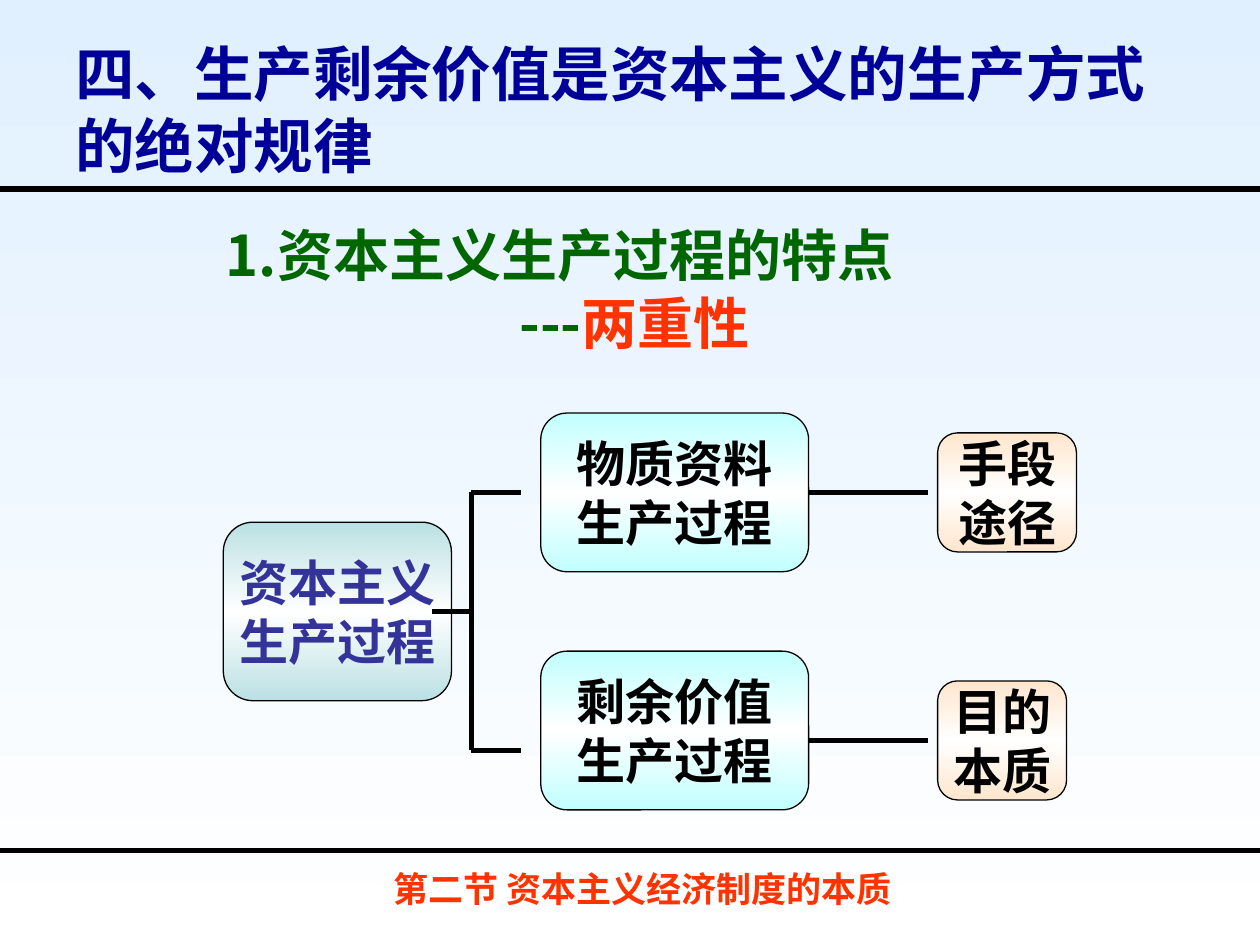
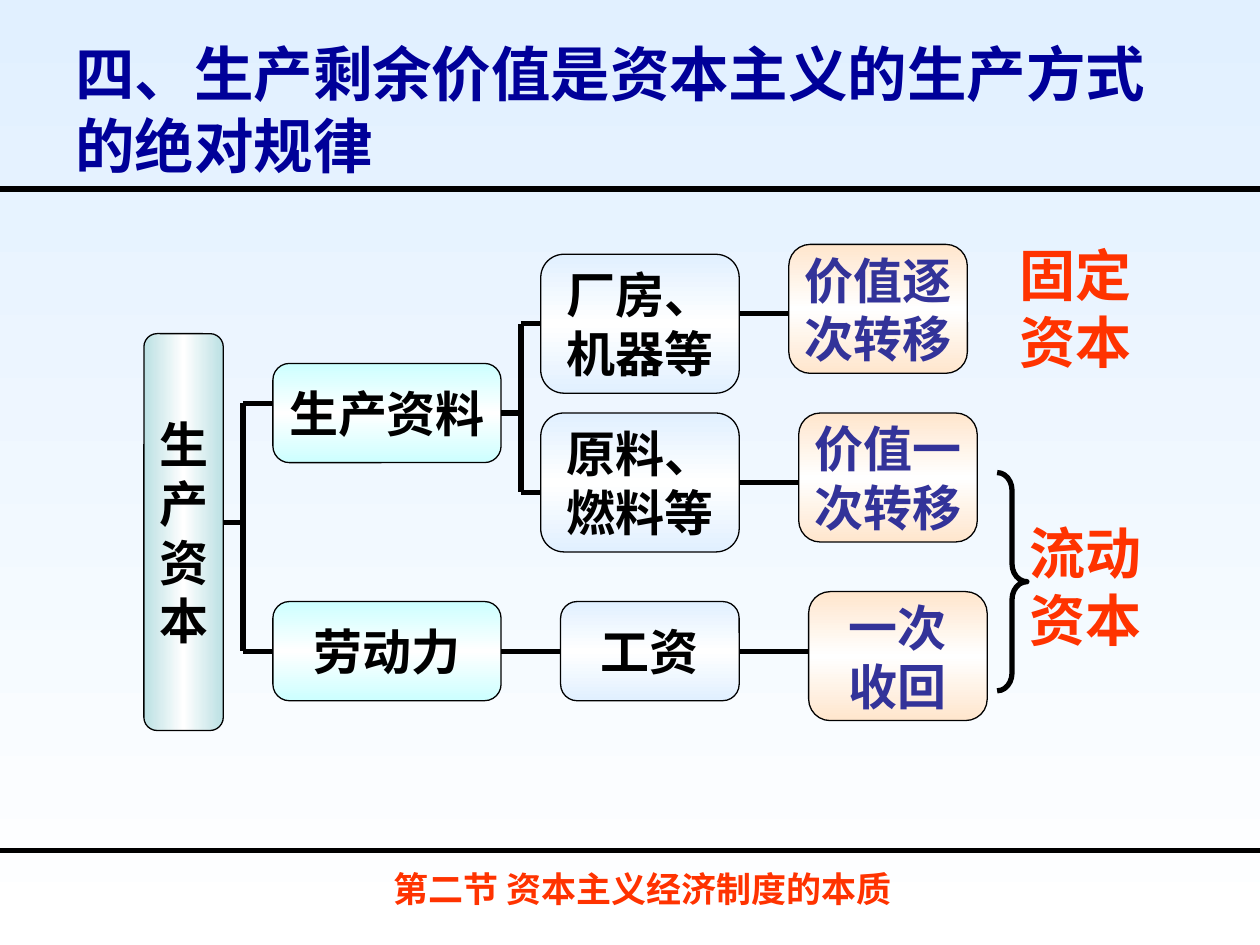
from copy import deepcopy

from lxml import etree
from pptx import Presentation
from pptx.dml.color import RGBColor
from pptx.enum.shapes import MSO_CONNECTOR, MSO_SHAPE
from pptx.enum.text import MSO_ANCHOR, PP_ALIGN
from pptx.oxml.ns import qn
from pptx.util import Inches, Pt

ROUND, BRACE = MSO_SHAPE.ROUNDED_RECTANGLE, MSO_SHAPE.RIGHT_BRACE
STRAIGHT = MSO_CONNECTOR.STRAIGHT
LEFT, CENTER = PP_ALIGN.LEFT, PP_ALIGN.CENTER
TOP, MIDDLE = MSO_ANCHOR.TOP, MSO_ANCHOR.MIDDLE

BLACK = RGBColor(0, 0, 0)
WHITE = RGBColor(255, 255, 255)
NAVY = RGBColor(0, 0, 0x99)
INDIGO = RGBColor(0x33, 0x33, 0x99)
GREEN = RGBColor(0, 0x66, 0)
RED = RGBColor(0xFF, 0x33, 0)
SKY = RGBColor(0xE1, 0xF0, 0xFF)
TEAL = RGBColor(0xBB, 0xE0, 0xE3)
AQUA = RGBColor(0xC1, 0xFF, 0xFF)
CYAN = RGBColor(0xCC, 0xFF, 0xFF)
PEACH = RGBColor(0xFF, 0xE6, 0xCD)

HAN, LATIN = "Noto Sans CJK SC", "Arial"
WIDE, HIGH = Inches(10), Inches(7.5)
CELL = Inches(1) / 12.7  # diagram grid of 2 mm cells
EDGE, HEAD = Inches(0.04), Inches(0.05)  # grid origin

TITLE = "四、生产剩余价值是资本主义的生产方式\v的绝对规律"
FOOT = "第二节 资本主义经济制度的本质"


def spot(col, row):
    return round(EDGE + col * CELL), round(HEAD + row * CELL)


def area(col, row, cols, rows):
    return *spot(col, row), round(cols * CELL), round(rows * CELL)


def share(x, y, w, h):
    return round(x * WIDE), round(y * HIGH), round(w * WIDE), round(h * HIGH)


def write(shape, text, size, color, face=HAN, align=LEFT, anchor=MIDDLE, wrap=True):
    frame = shape.text_frame
    frame.word_wrap = wrap
    frame.vertical_anchor = anchor
    frame.text = text
    for para in frame.paragraphs:
        para.alignment = align
        para.line_spacing = Pt(round(size * 1.2, 1))
        font = para.font
        font.name, font.size, font.bold = face, Pt(size), True
        font.color.rgb = color
        props = para._p.pPr.find(qn("a:defRPr"))
        etree.SubElement(props, qn("a:ea")).set("typeface", HAN)
    return frame


def label(slide, box, text, size, color, **style):
    return write(slide.shapes.add_textbox(*box), text, size, color, **style)


def rule(slide, start, end):
    line = slide.shapes.add_connector(STRAIGHT, *start, *end)
    line.line.color.rgb = BLACK
    line.line.width = Pt(3)
    etree.SubElement(line._element.spPr, qn("a:effectLst"))


def link(slide, start, end):
    rule(slide, spot(*start), spot(*end))


def fork(slide, stem, trunk, arms, tip):
    """Stem point, trunk column, arm rows and the column where arms end."""
    link(slide, (trunk, arms[0]), (trunk, arms[1]))
    link(slide, stem, (trunk, stem[1]))
    for row in arms:
        link(slide, (trunk, row), (tip, row))


def node(slide, box, text, tint, color=BLACK, angle=270):
    shape = slide.shapes.add_shape(ROUND, *area(*box))
    shape.shadow.inherit = False
    shape.line.color.rgb = BLACK
    shape.line.width = Pt(0.75)
    # Tint at both ends, white in the middle
    shape.fill.gradient()
    shape.fill.gradient_angle = angle
    for stop in shape.fill.gradient_stops:
        stop.color.rgb = tint
    stops = shape._element.spPr.find(".//" + qn("a:gsLst"))
    stops.insert(1, deepcopy(stops[0]))
    mid = shape.fill.gradient_stops[1]
    mid.position, mid.color.rgb = 0.5, WHITE
    write(shape, text, 28, color, LATIN, CENTER, wrap=False)


def base(deck):
    """Blank slide with the shared background, title, rules and footer."""
    slide = deck.slides.add_slide(deck.slide_layouts[6])
    fill = slide.background.fill
    fill.gradient()
    fill.gradient_angle = 270
    for stop, color, place in zip(fill.gradient_stops, (SKY, WHITE), (0, 1)):
        stop.color.rgb, stop.position = color, place
    for part in (0.2, 0.9):
        rule(slide, (0, round(part * HIGH)), (WIDE, round(part * HIGH)))
    label(slide, share(0.05, 0.04, 0.93, 0.15), TITLE, 34, NAVY)
    label(slide, share(0.22, 0.91, 0.58, 0.06), FOOT, 20, RED,
          align=CENTER, wrap=False)
    return slide


def dual(deck):
    """The two sides of the production process."""
    slide = base(deck)
    frame = label(slide, area(21, 21, 94, 15), "1.资本主义生产过程的特点\n---",
                  32, GREEN, anchor=TOP)
    last = frame.paragraphs[1]
    last._p.pPr.set("marL", str(Inches(2.33)))
    word = last.add_run()
    word.text = "两重性"
    word.font.color.rgb = RED

    # Process, its two sides and their roles
    node(slide, (22, 52, 23, 18), "资本主义\n生产过程", TEAL, INDIGO)
    fork(slide, (43, 61), 47, (49, 75), 52)
    sides = (
        (41, "物质资料\n生产过程", 43, 14, "手段\n途径"),
        (65, "剩余价值\n生产过程", 68, 13, "目的\n本质"),
    )
    for row, side, top, cols, role in sides:
        node(slide, (54, row, 27, 16), side, AQUA)
        node(slide, (94, top, cols, 12), role, PEACH)
        link(slide, (81, top + 6), (93, top + 6))


def capital(deck):
    """How productive capital divides and returns."""
    slide = base(deck)
    # Whole and its two parts
    node(slide, (14, 33, 8, 40), "生\n产\n资\n本", TEAL, angle=0)
    for row, part in ((36, "生产资料"), (60, "劳动力")):
        node(slide, (27, row, 23, 10), part, CYAN)
    fork(slide, (22, 52), 24, (40, 65), 27)
    fork(slide, (50, 41), 52, (32, 49), 54)
    link(slide, (50, 65), (56, 65))

    # Items and the way their value returns
    items = (
        ((54, 25, 20, 14), "厂房、\n机器等", (79, 24), 31, "价值逐\n次转移"),
        ((54, 41, 20, 14), "原料、\n燃料等", (80, 41), 48, "价值一\n次转移"),
        ((56, 60, 18, 10), "工资", (81, 59), 65, "一次\n收回"),
    )
    for box, item, (col, row), level, way in items:
        node(slide, box, item, SKY)
        node(slide, (col, row, 18, 13), way, PEACH, INDIGO)
        link(slide, (74, level), (col, level))

    # Kinds of capital
    brace = slide.shapes.add_shape(BRACE, *area(100, 47, 3, 22))
    brace.shadow.inherit = False
    brace.fill.background()
    brace.line.color.rgb = BLACK
    brace.line.width = Pt(3)
    brace.adjustments[0] = 0.6
    for col, row, kind in ((101, 23, "固定资本"), (102, 51, "流动资本")):
        label(slide, area(col, row, 15.75, 15), kind, 32, RED, anchor=TOP)


def main():
    deck = Presentation()
    deck.slide_width, deck.slide_height = WIDE, HIGH
    dual(deck)
    capital(deck)
    deck.save("out.pptx")


if __name__ == "__main__":
    main()
